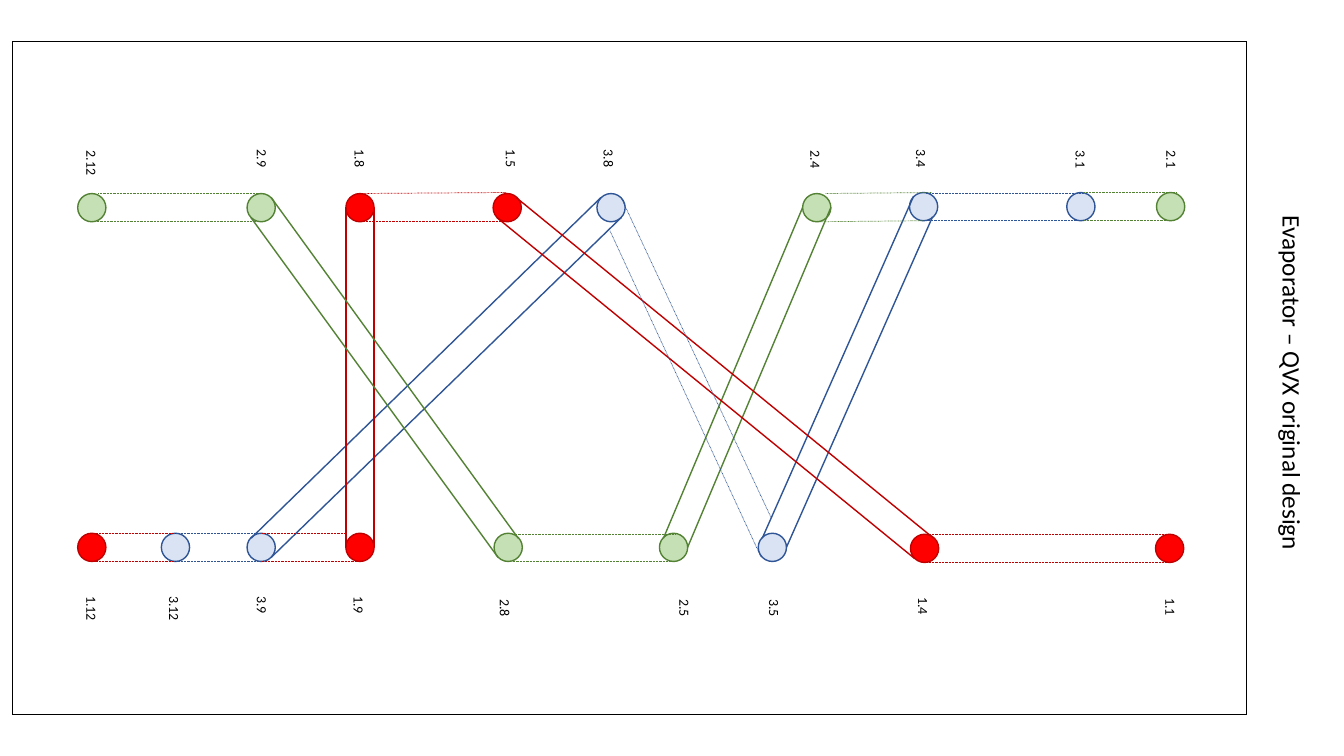
from lxml import etree
from pptx import Presentation
from pptx.dml.color import RGBColor
from pptx.enum import dml, shapes, text
from pptx.oxml.ns import qn
from pptx.util import Inches, Pt

DIAM = 0.28
FILLS = {"1": "FF0000", "2": "C5E0B4", "3": "DAE3F3"}
LINES = {"1": "C00000", "2": "548235", "3": "2F5597"}

PORTS = {
    "2.12": (0.79, 1.65, 0.79, 1.6),
    "2.9": (2.47, 1.65, 2.48, 1.59),
    "1.8": (3.45, 1.65, 3.45, 1.59),
    "1.5": (4.91, 1.65, 4.95, 1.59),
    "3.8": (5.94, 1.65, 5.92, 1.59),
    "2.4": (7.98, 1.65, 7.97, 1.6),
    "3.4": (9.04, 1.64, 9.02, 1.59),
    "3.1": (10.6, 1.64, 10.6, 1.6),
    "2.1": (11.49, 1.64, 11.5, 1.6),
    "1.12": (0.79, 5.02, 0.79, 6.02),
    "3.12": (1.62, 5.02, 1.61, 6.02),
    "3.9": (2.47, 5.02, 2.48, 6.02),
    "1.9": (3.45, 5.02, 3.44, 6.02),
    "2.8": (4.92, 5.02, 4.89, 6.05),
    "2.5": (6.56, 5.02, 6.67, 6.05),
    "3.5": (7.54, 5.02, 7.56, 6.05),
    "1.4": (9.05, 5.03, 9.04, 6.03),
    "1.1": (11.48, 5.03, 11.49, 6.04),
}

SOLID = [
    ("2.4", "2.5", (-0.14, 0, -0.1, -0.09), (0.14, 0, 0.14, 0)),
    ("3.4", "3.5", (-0.1, -0.1, -0.1, -0.09), (0.09, 0.1, 0.14, 0)),
    ("3.8", "3.9", (-0.1, -0.1, -0.1, -0.09), (0.1, 0.1, 0.1, 0.1)),
    ("1.5", "1.4", (0.09, -0.1, 0.09, -0.1), (-0.1, 0.1, -0.1, 0.1)),
    ("1.8", "1.9", (-0.14, 0, -0.14, 0), (0.14, 0, 0.14, 0)),
    ("2.9", "2.8", (-0.1, 0.1, -0.1, 0.1), (0.1, -0.1, 0.1, -0.09)),
]
DOTTED = [
    ("2.5", "2.8", (0, 0.14, 0.05, 0.14), (0.02, -0.13, 0.07, -0.13)),
    ("1.12", "3.12", (0, 0.14, 0, 0.14), (0, -0.14, 0, -0.14)),
    ("1.5", "1.8", (-0.02, 0.14, -0.02, 0.14), (-0.01, -0.15, -0.02, -0.14)),
    ("2.4", "3.4", (0, 0.14, 0, 0.14), (0.09, -0.14, 0.08, -0.14)),
    ("2.9", "2.12", (-0.05, 0.14, 0.03, 0.14), (-0.02, -0.14, 0.06, -0.14)),
    ("2.1", "3.1", (0.04, 0.14, 0, 0.14), (0.06, -0.14, 0.02, -0.14)),
    ("3.1", "3.4", (0.02, 0.14, 0.02, 0.14), (0.03, -0.13, 0.02, -0.13)),
    ("1.1", "1.4", (0, 0.14, 0, 0.14), (0, -0.14, 0, -0.14)),
    ("3.8", "3.5", (0.1, -0.1, -0.01, -0.29), (-0.01, 0.23, -0.11, 0.1)),
    ("3.9", "3.12", (-0.01, 0.14, 0.01, 0.14), (-0.01, -0.14, 0.01, -0.14)),
    ("1.9", "3.9", (0, 0.14, 0.01, 0.14), (-0.14, -0.14, 0.01, -0.14)),
]


def rgb(code):
    """Turn a hex string into a colour."""
    return RGBColor.from_string(code)


def write(frame, words, size):
    """Put one black run into a text frame."""
    run = frame.paragraphs[0].add_run()
    run.text = words
    run.font.size = Pt(size)
    run.font.name = "Calibri"
    run.font.color.rgb = rgb("000000")


def draw_line(slide, start, end, color, width, dotted=False):
    """Draw one straight line without a shadow."""
    ends = [Inches(v) for v in (*start, *end)]
    line = slide.shapes.add_connector(shapes.MSO_CONNECTOR.STRAIGHT, *ends)
    line.line.color.rgb = rgb(color)
    line.line.width = Pt(width)
    if dotted:
        line.line.dash_style = dml.MSO_LINE.ROUND_DOT
    etree.SubElement(line._element.spPr, qn("a:effectLst"))


def draw_title(slide, left, top, width, height):
    """Turn the title on its side within the given box."""
    title = slide.shapes.title
    title.left, title.top = Inches(left), Inches(top)
    title.width, title.height = Inches(width), Inches(height)
    title.rotation = 90
    frame = title.text_frame
    frame.word_wrap = True
    frame.auto_size = text.MSO_AUTO_SIZE.NONE
    frame.vertical_anchor = text.MSO_ANCHOR.TOP
    frame.paragraphs[0].alignment = text.PP_ALIGN.CENTER
    write(frame, "Evaporator – QVX original design", 18)


def draw_frame(slide, left, top, width, height):
    """Draw the four border lines of the box."""
    right, base = left + width, top + height
    nodes = [(left, top), (right, top), (right, base), (left, base)]
    for start, end in zip(nodes, nodes[1:] + nodes[:1]):
        draw_line(slide, start, end, "000000", 0.5)


def draw_ports(slide, left, top):
    """Draw the ports and their upright labels from the box corner."""
    wide, high = 1.23, 0.27
    for name, (x, y, tag_x, tag_y) in PORTS.items():
        port = slide.shapes.add_shape(
            shapes.MSO_SHAPE.OVAL, Inches(left + x - DIAM / 2),
            Inches(top + y - DIAM / 2), Inches(DIAM), Inches(DIAM))
        port.rotation = 90
        port.shadow.inherit = False
        port.fill.solid()
        port.fill.fore_color.rgb = rgb(FILLS[name[0]])
        port.line.color.rgb = rgb(LINES[name[0]])
        port.line.width = Pt(1)
        label = slide.shapes.add_textbox(
            Inches(left + tag_x - wide / 2), Inches(top + tag_y - high / 2),
            Inches(wide), Inches(high))
        label.rotation = 90
        label.text_frame.word_wrap = True
        write(label.text_frame, name, 10)


def draw_tubes(slide, left, top, tubes, width, dotted):
    """Draw both walls of each tube in the colour of its first port."""
    for one, two, *walls in tubes:
        x1, y1 = PORTS[one][:2]
        x2, y2 = PORTS[two][:2]
        for dx1, dy1, dx2, dy2 in walls:
            draw_line(slide, (left + x1 + dx1, top + y1 + dy1),
                      (left + x2 + dx2, top + y2 + dy2),
                      LINES[one[0]], width, dotted)


def draw_plan(slide, left, top, width, height):
    """Draw the framed tube plan in the given box."""
    draw_frame(slide, left, top, width, height)
    draw_ports(slide, left, top)
    draw_tubes(slide, left, top, SOLID, 1, False)
    draw_tubes(slide, left, top, DOTTED, 0.5, True)


def main():
    """Build and save the slide."""
    deck = Presentation()
    deck.slide_width, deck.slide_height = Inches(13.33), Inches(7.5)
    slide = deck.slides.add_slide(deck.slide_layouts[5])
    draw_title(slide, 10.94, 3.6, 3.76, 0.4)
    draw_plan(slide, 0.12, 0.41, 12.24, 6.68)
    deck.save("out.pptx")


if __name__ == "__main__":
    main()
